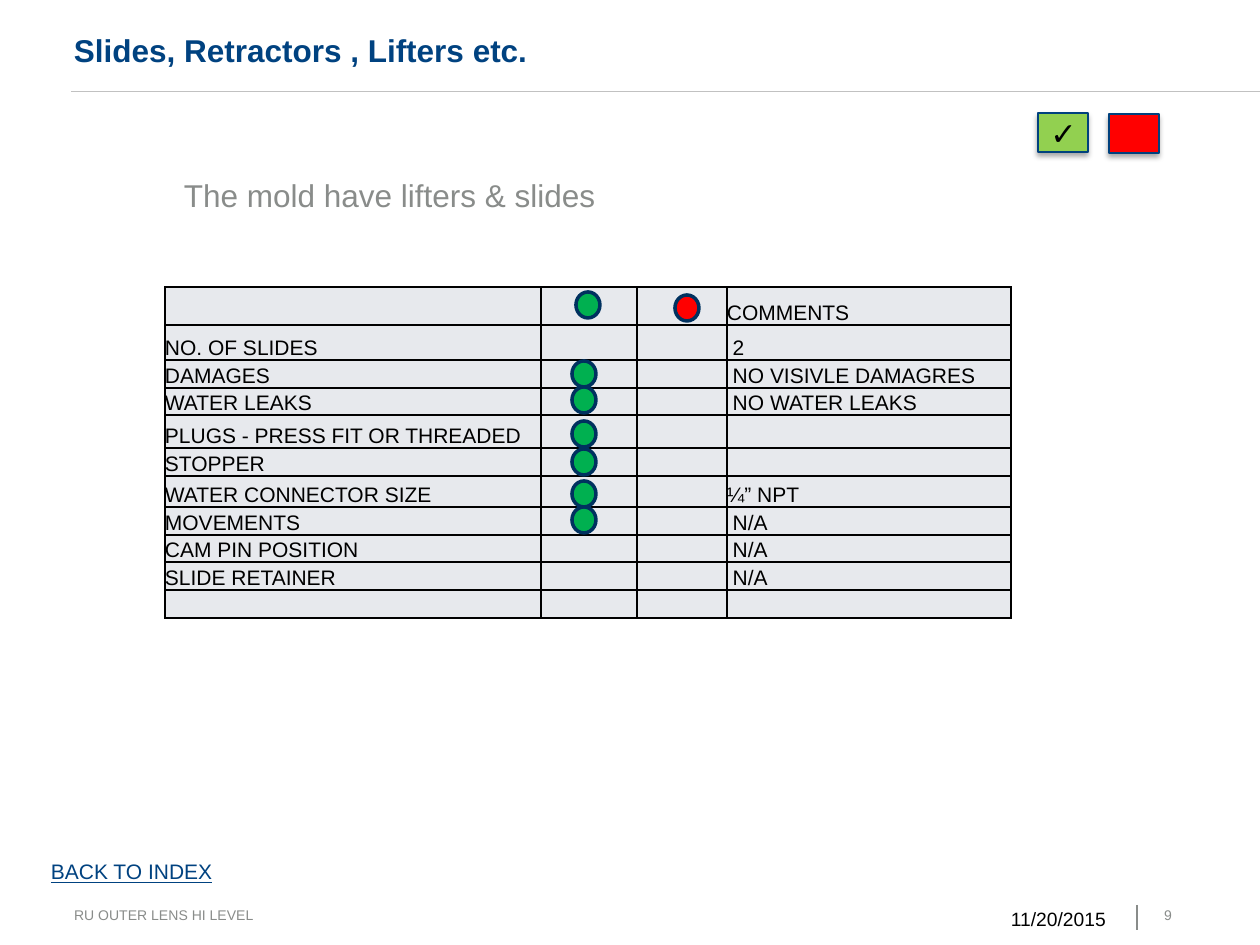
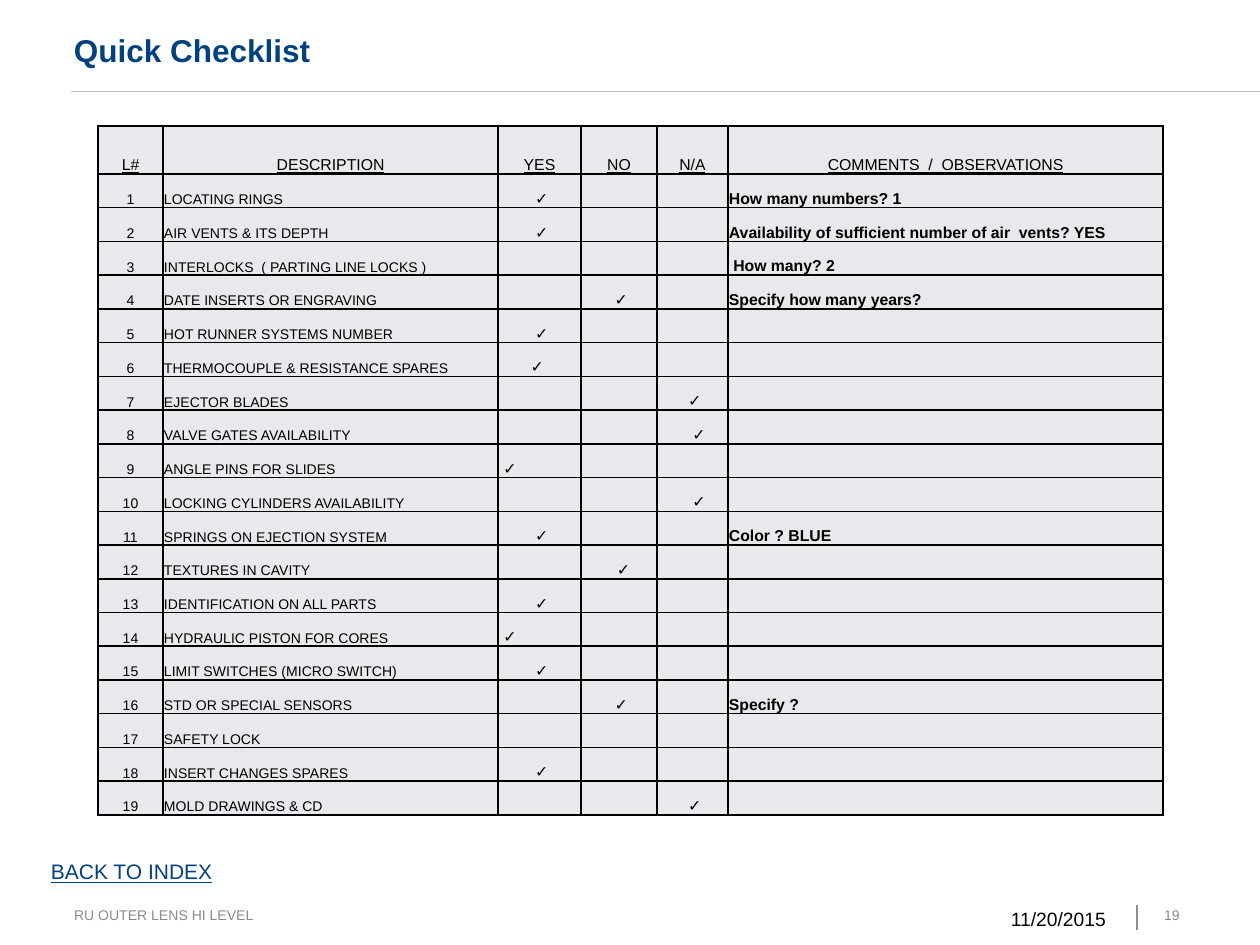
import lxml.etree
import pptx
import pptx.dml.color
import pptx.enum.shapes
import pptx.enum.text
import pptx.oxml.ns
import pptx.util

# Shared look
FONT = "Arial"
NAVY, GREY, BLACK, RULE = "004280", "898C8A", "000000", "C1C1C1"
CELL_FILL, RING, SQUARE_LINE = "E7E9ED", "00315F", "00417D"
GREEN, RED, LIME = "00B050", "FF0000", "92D050"
LEFT, CENTER, RIGHT = (pptx.enum.text.PP_ALIGN.LEFT, pptx.enum.text.PP_ALIGN.CENTER,
                       pptx.enum.text.PP_ALIGN.RIGHT)
TOP, MIDDLE = pptx.enum.text.MSO_ANCHOR.TOP, pptx.enum.text.MSO_ANCHOR.MIDDLE
OVAL, SQUARE = pptx.enum.shapes.MSO_SHAPE.OVAL, pptx.enum.shapes.MSO_SHAPE.RECTANGLE
TICK, HARD_SPACE = "✓", chr(160)

# Shared footer
PROJECT, DATE, INDEX_LABEL = "RU OUTER LENS HI LEVEL", "11/20/2015", "BACK TO INDEX"

# Mold parts: item, comment, row height, top of its green dot ("~" is a hard space)
PART_COLUMNS = [376, 96, 90, 284]
PART_ROWS = [
    ("", "COMMENTS", 38, None),
    ("NO. OF SLIDES", "~2", 35, None),
    ("DAMAGES", "~NO VISIVLE DAMAGRES", 28, 361),
    ("WATER LEAKS", "~NO WATER LEAKS", 27, 387),
    ("PLUGS - PRESS FIT OR THREADED", "", 33, 421),
    ("STOPPER", "", 28, 449),
    ("WATER CONNECTOR SIZE", "¼” NPT", 31, 481),
    ("MOVEMENTS", "~N/A", 28, 507),
    ("CAM PIN POSITION", "~N/A", 27, None),
    ("SLIDE RETAINER", "~N/A", 28, None),
    ("", "", 28, None),
]

# Checklist: description, answer, tick with its hard spaces, comment
CHECK_COLUMNS = [65, 335, 83, 76, 71, 435]
CHECK_HEADER, CHECK_BODY = 48, 641
ANSWERS = ["YES", "NO", "N/A"]
CHECK_HEADINGS = ["L#", "DESCRIPTION", *ANSWERS, "COMMENTS  /  OBSERVATIONS"]
CHECKS = [
    ("LOCATING RINGS", "YES", "~✓", "How many numbers? 1"),
    ("AIR VENTS & ITS DEPTH", "YES", "~✓",
     "Availability of sufficient number of air  vents? YES"),
    ("INTERLOCKS  ( PARTING LINE LOCKS )", "", "", "~How many? 2"),
    ("DATE INSERTS OR ENGRAVING", "NO", "~✓", "Specify how many years?"),
    ("HOT RUNNER SYSTEMS NUMBER", "YES", "~✓", ""),
    ("THERMOCOUPLE & RESISTANCE SPARES", "YES", "✓~", ""),
    ("EJECTOR BLADES", "N/A", "~✓", ""),
    ("VALVE GATES AVAILABILITY", "N/A", "~~~✓", ""),
    ("ANGLE PINS FOR SLIDES", "YES", "~✓", ""),
    ("LOCKING CYLINDERS AVAILABILITY", "N/A", "~~~✓", ""),
    ("SPRINGS ON EJECTION SYSTEM", "YES", "~✓", "Color ? BLUE"),
    ("TEXTURES IN CAVITY", "NO", "~~✓", ""),
    ("IDENTIFICATION ON ALL PARTS", "YES", "~✓", ""),
    ("HYDRAULIC PISTON FOR CORES", "YES", "~✓", ""),
    ("LIMIT SWITCHES (MICRO SWITCH)", "YES", "~✓", ""),
    ("STD OR SPECIAL SENSORS", "NO", "~✓", "Specify ?"),
    ("SAFETY LOCK", "", "", ""),
    ("INSERT CHANGES SPARES", "YES", "~✓", ""),
    ("MOLD DRAWINGS & CD", "N/A", "~✓", ""),
]
LEFT_TICKED = {9, 14}


def px(length):
    return pptx.util.Emu(round(length * 914400 / 126))


def color(value):
    return pptx.dml.color.RGBColor.from_string(value)


def add_xml(parent, tag, **attributes):
    return lxml.etree.SubElement(parent, pptx.oxml.ns.qn(tag), attributes)


def write(frame, text, size, ink=BLACK, align=LEFT, bold=False, underline=False):
    paragraph = frame.paragraphs[0]
    paragraph.text = text.replace("~", HARD_SPACE)
    paragraph.alignment = align
    font = paragraph.font
    font.name, font.size, font.bold, font.underline = FONT, pptx.util.Pt(size), bold, underline
    font.color.rgb = color(ink)
    if not text:  # keeps empty table rows from growing
        add_xml(paragraph._p, "a:endParaRPr", sz=str(size * 100))
    return paragraph


def add_text(slide, box, text, size, ink, align=LEFT, anchor=TOP, inset=(0, 0), **style):
    frame = slide.shapes.add_textbox(*map(px, box)).text_frame
    frame.word_wrap, frame.vertical_anchor = True, anchor
    frame.margin_left = frame.margin_right = px(inset[0])
    frame.margin_top = frame.margin_bottom = px(inset[1])
    return write(frame, text, size, ink, align, **style)


def add_line(slide, start, end, ink, width):
    line = slide.shapes.add_connector(pptx.enum.shapes.MSO_CONNECTOR.STRAIGHT,
                                      *map(px, start + end))
    line.line.color.rgb, line.line.width = color(ink), pptx.util.Pt(width)
    add_xml(line._element.spPr, "a:effectLst")


def add_shape(slide, kind, box, fill, ink, width):
    shape = slide.shapes.add_shape(kind, *map(px, box))
    shape.shadow.inherit = False
    shape.fill.solid()
    shape.fill.fore_color.rgb = color(fill)
    shape.line.color.rgb, shape.line.width = color(ink), pptx.util.Pt(width)
    return shape


def add_dot(slide, left, top, fill):
    add_shape(slide, OVAL, (left, top, 24, 26), fill, RING, 2)


def add_status_square(slide, left, top, fill, text=""):
    shape = add_shape(slide, SQUARE, (left, top, 50, 39), fill, SQUARE_LINE, 0.75)
    effects = shape._element.spPr.find(pptx.oxml.ns.qn("a:effectLst"))
    shadow = add_xml(effects, "a:outerShdw", blurRad="39400", dist="22900",
                     dir="5400000", rotWithShape="0")
    add_xml(add_xml(shadow, "a:srgbClr", val=BLACK), "a:alpha", val="35000")
    shape.text_frame.vertical_anchor = MIDDLE
    if text:
        write(shape.text_frame, text, 18, align=CENTER)


def add_grid(slide, left, top, columns, rows, margin, cells):
    """Draw a table; each cell is (text, size, style)."""
    table = slide.shapes.add_table(len(rows), len(columns), px(left), px(top),
                                   px(sum(columns)), px(sum(rows))).table
    table.first_row = table.horz_banding = False
    for column, width in zip(table.columns, columns):
        column.width = px(width)
    for row, height, contents in zip(table.rows, rows, cells):
        row.height = px(height)
        for cell, (text, size, style) in zip(row.cells, contents):
            cell.margin_left = cell.margin_right = cell.margin_top = px(margin)
            cell.margin_bottom = 0
            cell.vertical_anchor = pptx.enum.text.MSO_ANCHOR.BOTTOM
            for side in ("L", "R", "T", "B"):
                border = add_xml(cell._tc.tcPr, f"a:ln{side}", w="12700")
                add_xml(add_xml(border, "a:solidFill"), "a:srgbClr", val=BLACK)
            cell.fill.solid()
            cell.fill.fore_color.rgb = color(CELL_FILL)
            write(cell.text_frame, text, size, **style)


def start_slide(presentation, title, number):
    """Add a slide with the shared title, rules and footer."""
    slide = presentation.slides.add_slide(presentation.slide_layouts[6])
    add_line(slide, (1137, 905), (1137, 930), GREY, 1.5)
    add_line(slide, (71, 91), (1260, 91), RULE, 0.1)
    heading = add_text(slide, (74, 28, 834, 44), title, 18, NAVY, anchor=MIDDLE, bold=True)
    heading.line_spacing = pptx.util.Pt(22)
    add_text(slide, (911, 907, 195, 29), DATE, 11, BLACK, RIGHT)
    add_text(slide, (39, 853, 189, 38), INDEX_LABEL, 12, NAVY, inset=(12, 6), underline=True)
    add_text(slide, (74, 907, 520, 33), PROJECT, 8, GREY)
    add_text(slide, (1164, 907, 44, 28), str(number), 8, GREY)
    return slide


def build_parts_slide(presentation):
    slide = start_slide(presentation, "Slides, Retractors , Lifters etc.", 9)
    intro = add_text(slide, (184, 176, 546, 60), "The mold have lifters & slides", 18, GREY)
    intro.space_before = pptx.util.Pt(4.3)
    cells = [[(text, 12, {}) for text in (item, "", "", comment)]
             for item, comment, _, _ in PART_ROWS]
    add_grid(slide, 165, 287, PART_COLUMNS, [row[2] for row in PART_ROWS], 0, cells)

    # Status key and dots
    add_dot(slide, 576, 292, GREEN)
    add_dot(slide, 675, 295, RED)
    for *_, dot_top in PART_ROWS:
        if dot_top:
            add_dot(slide, 572, dot_top, GREEN)
    add_status_square(slide, 1038, 113, LIME, TICK)
    add_status_square(slide, 1109, 114, RED)


def build_checklist_slide(presentation):
    slide = start_slide(presentation, "Quick Checklist", 19)
    cells = [[(text, 9, {"align": CENTER, "underline": True}) for text in CHECK_HEADINGS]]
    for number, (description, answer, tick, comment) in enumerate(CHECKS, 1):
        tick_style = {"align": LEFT if number in LEFT_TICKED else CENTER}
        cells.append([
            (str(number), 8, {"align": CENTER}),
            (description, 8, {}),
            *((tick if answer == option else "", 9, tick_style) for option in ANSWERS),
            (comment, 9, {"bold": True}),
        ])
    rows = [CHECK_HEADER] + [CHECK_BODY / len(CHECKS)] * len(CHECKS)
    add_grid(slide, 98, 126, CHECK_COLUMNS, rows, 1, cells)


def main():
    presentation = pptx.Presentation()
    presentation.slide_width, presentation.slide_height = px(1260), px(945)
    build_parts_slide(presentation)
    build_checklist_slide(presentation)
    presentation.save("out.pptx")


if __name__ == "__main__":
    main()
